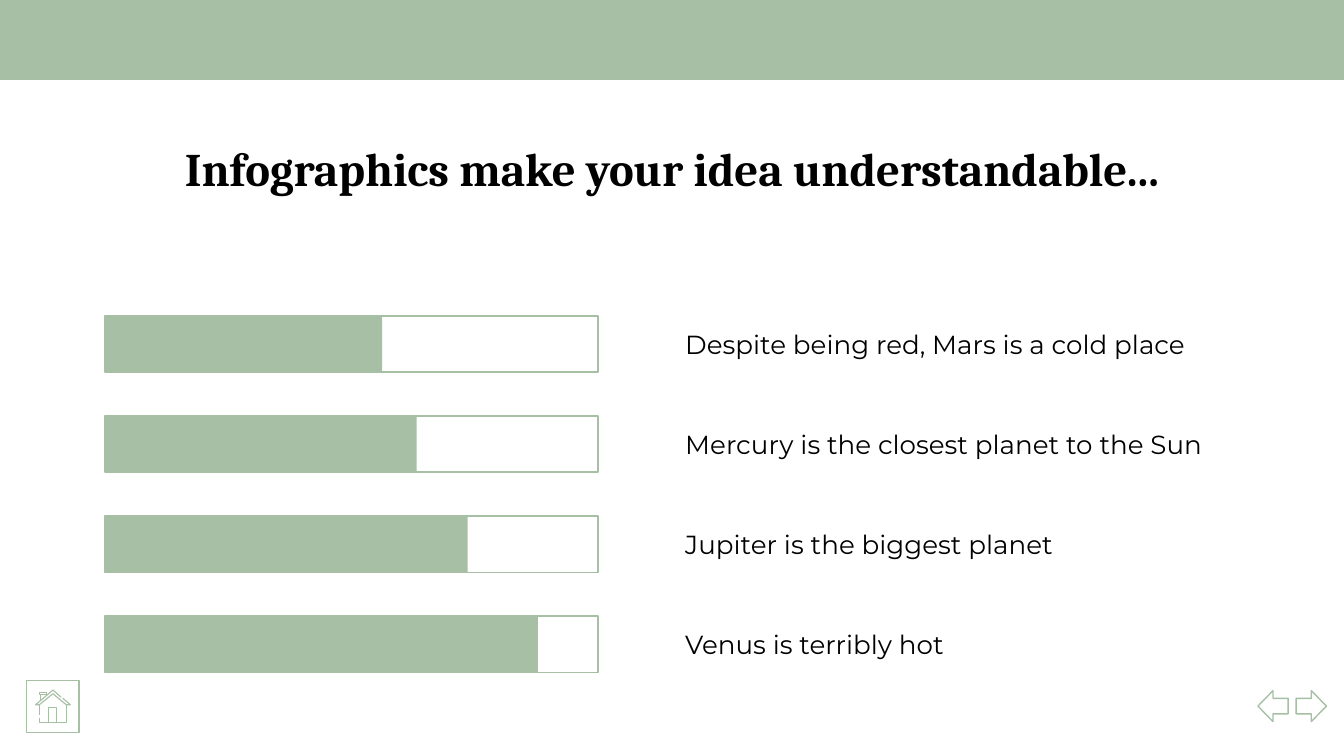
import pptx
import pptx.util
import pptx.dml.color
import pptx.enum.shapes
import pptx.enum.text

Pt = pptx.util.Pt
MSO = pptx.enum.shapes.MSO_SHAPE
ANCHOR = pptx.enum.text.MSO_ANCHOR
ALIGN = pptx.enum.text.PP_ALIGN

GREEN, WHITE, BLACK = "A6BFA5", "FFFFFF", "000000"
FACTS = [
    ("Despite being red, Mars is a cold place", 148.6),
    ("Mercury is the closest planet to the Sun", 167),
    ("Jupiter is the biggest planet", 194.4),
    ("Venus is terribly hot", 232),
]
HOUSE_STROKES = [
    # roof
    [(15, 4.8), (19, 8.3), (16.8, 8.3), (9.7, 2.4), (2.4, 8.3), (0.4, 8.3),
     (9.7, 0.4), (14, 4.2)],
    # walls
    [(2.4, 8.3), (2.4, 14)],
    [(2.4, 15.3), (2.4, 17.7), (16.8, 17.7), (16.8, 8.3)],
    # door
    [(7.4, 17.7), (7.4, 9.9), (11.7, 9.9), (11.7, 17.7)],
    # chimney
    [(2.9, 5.8), (2.9, 3), (2.3, 3), (2.3, 1.7), (6.3, 1.7), (6.3, 3)],
    [(2.9, 3), (5.8, 3)],
]


def rgb(color):
    return pptx.dml.color.RGBColor.from_string(color)


def add_shape(s, kind, box, fill, line=None):
    sp = s.shapes.add_shape(kind, *map(Pt, box))
    sp.shadow.inherit = False
    sp.fill.solid()
    sp.fill.fore_color.rgb = rgb(fill)
    if line:
        sp.line.color.rgb = rgb(line)
        sp.line.width = Pt(0.75)
    else:
        sp.line.fill.background()
    return sp


def write(sp, text, align, **font):
    tf = sp.text_frame
    frame = dict(word_wrap=True, auto_size=pptx.enum.text.MSO_AUTO_SIZE.NONE,
                 vertical_anchor=ANCHOR.MIDDLE)
    for side in ("left", "right", "top", "bottom"):
        frame["margin_" + side] = Pt(7.2)
    for name, value in frame.items():
        setattr(tf, name, value)
    p = tf.paragraphs[0]
    p.alignment = align
    p.line_spacing = 1.0
    r = p.add_run()
    r.text = text
    for name, value in font.items():
        setattr(r.font, name, value)
    r.font.color.rgb = rgb(BLACK)


def add_title(s, box, text):
    sp = s.shapes.title
    sp.left, sp.top, sp.width, sp.height = map(Pt, box)
    write(sp, text, ALIGN.CENTER, name="Cambria", size=Pt(25), bold=True)


def add_fact_row(s, x, y, w, h, text, filled):
    """Progress bar on the left, its statement on the right."""
    bar_w, text_w = 264.2, 303.8
    add_shape(s, MSO.RECTANGLE, (x, y, bar_w, h), WHITE, GREEN)
    add_shape(s, MSO.RECTANGLE, (x, y, filled, h), GREEN)
    sp = s.shapes.add_textbox(*map(Pt, (x + w - text_w, y, text_w, h)))
    write(sp, text, ALIGN.LEFT, name="Montserrat", size=Pt(14))


def add_home_button(s, x, y, size):
    add_shape(s, MSO.RECTANGLE, (x, y, size, size), WHITE, GREEN)
    strokes = [[(Pt(x + 4.5 + dx), Pt(y + 4.8 + dy)) for dx, dy in stroke]
               for stroke in HOUSE_STROKES]
    house = s.shapes.build_freeform(*strokes[0][0], scale=1.0)
    for i, (start, *rest) in enumerate(strokes):
        if i:
            house.move_to(*start)
        house.add_line_segments(rest, close=False)
    sp = house.convert_to_shape()
    sp.shadow.inherit = False
    sp.fill.background()
    sp.line.color.rgb = rgb(GREEN)
    sp.line.width = Pt(0.6)


def add_arrow_buttons(s, x, y, w, h):
    arrow_w = 16.2
    for left, turn in ((x, 0), (x + w - arrow_w, 180)):
        sp = add_shape(s, MSO.LEFT_ARROW, (left, y, arrow_w, h), WHITE, GREEN)
        sp.rotation = turn


def main():
    prs = pptx.Presentation()
    prs.slide_width, prs.slide_height = Pt(720), Pt(405)
    s = prs.slides.add_slide(prs.slide_layouts[5])
    add_shape(s, MSO.RECTANGLE, (0, 0, 720, 42.8), GREEN)
    add_title(s, (56.2, 68.4, 607.6, 43.2),
              "Infographics make your idea understandable...")
    for i, (text, filled) in enumerate(FACTS):
        add_fact_row(s, 56.2, 169.2 + i * 53.6, 607.6, 30.2, text, filled)
    add_arrow_buttons(s, 673.9, 370, 36.7, 16.6)
    add_home_button(s, 14.2, 364.5, 28.1)
    prs.save("out.pptx")


if __name__ == "__main__":
    main()
